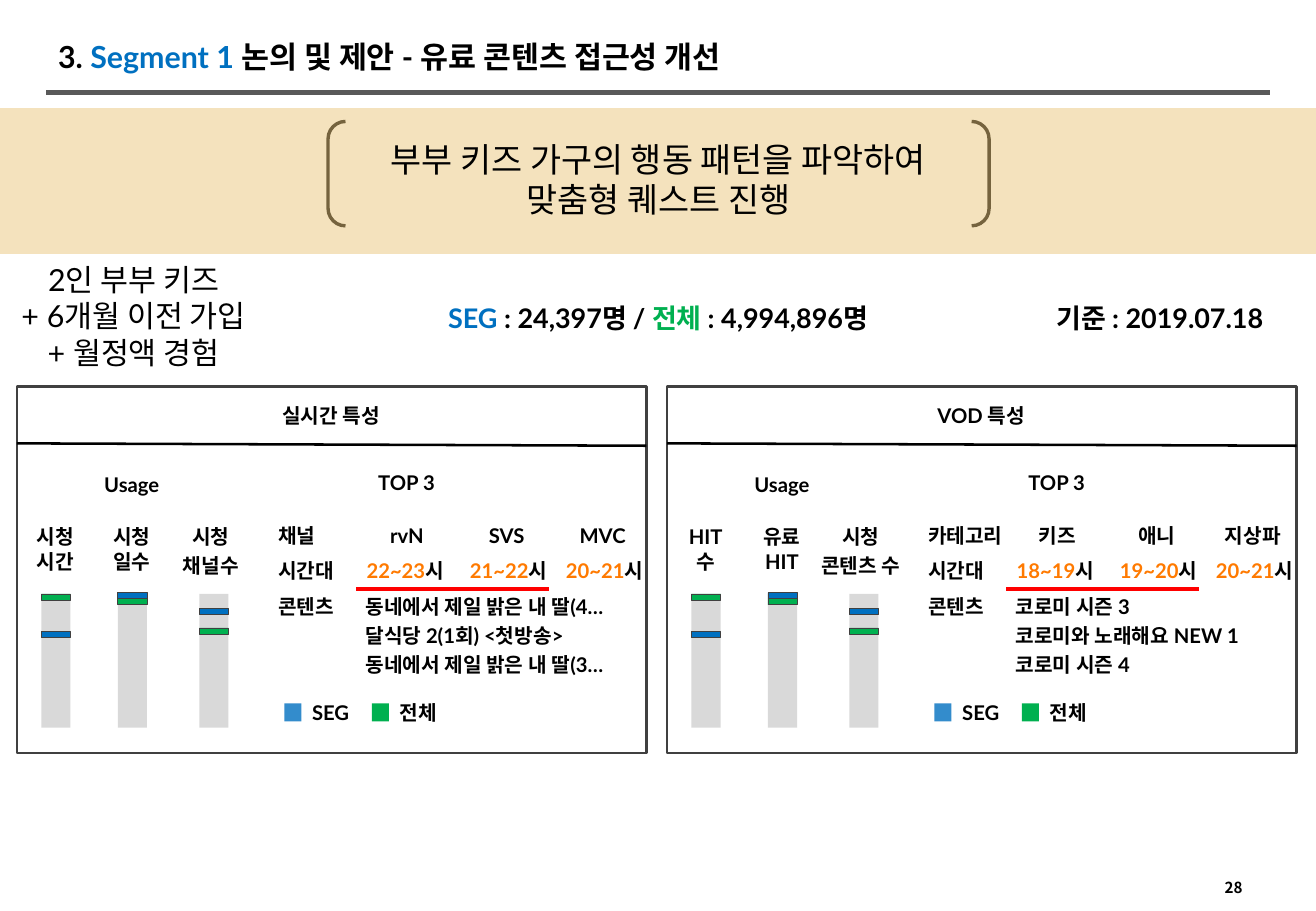
from lxml import etree
from pptx import Presentation
from pptx import util as u
from pptx.dml.color import RGBColor
from pptx.enum import shapes, text
from pptx.oxml import ns

BLACK = RGBColor(0x00, 0x00, 0x00)
WHITE = RGBColor(0xFF, 0xFF, 0xFF)
DARK = RGBColor(0x40, 0x40, 0x40)
RULE = RGBColor(0x59, 0x59, 0x59)
GREY = RGBColor(0xD9, 0xD9, 0xD9)
SAND = RGBColor(0xEA, 0xC6, 0x7C)
BLUE = RGBColor(0x00, 0x70, 0xC0)
GREEN = RGBColor(0x00, 0xB0, 0x50)
ORANGE = RGBColor(0xFF, 0x7A, 0x00)
RED = RGBColor(0xFF, 0x00, 0x00)

LATIN = "Lato"
KOREAN = "Noto Sans CJK KR"
CENTER = text.PP_ALIGN.CENTER
LEFT = text.PP_ALIGN.LEFT
RECT = shapes.MSO_SHAPE.RECTANGLE
BRACKETS = shapes.MSO_SHAPE.DOUBLE_BRACKET

PANEL_LEFTS = (0.14, 5.49)
BAR_LEFTS = (0.2, 0.83, 1.5)
MARKS = ((4.89, 5.2), (4.93, 4.88), (5.17, 5.01))  # tops of the total and SEG marks
LABEL_BOXES = ((0, 0.63), (0.63, 0.63), (1.11, 0.97))
RANK_CENTERS = (3.21, 4.03, 4.82)
HOUR_CENTERS = (3.19, 4.04, 4.83)

PANELS = (
    {
        "title": "실시간 특성",
        "labels": (["시청 시간"], ["시청 일수"], ["시청", "채널수"]),
        "kind": "채널",
        "names": ("rvN", "SVS", "MVC"),
        "hours": ("22~23", "21~22", "20~21"),
        "contents": ("동네에서 제일 밝은 내 딸(4…", "달식당 2(1회) <첫방송>",
                     "동네에서 제일 밝은 내 딸(3…"),
    },
    {
        "title": "VOD 특성",
        "labels": (["HIT 수"], ["유료 HIT"], ["시청", "콘텐츠 수"]),
        "kind": "카테고리",
        "names": ("키즈", "애니", "지상파"),
        "hours": ("18~19", "19~20", "20~21"),
        "contents": ("코로미 시즌 3", "코로미와 노래해요 NEW 1", "코로미 시즌 4"),
    },
)


class Deck:
    def __init__(self):
        self.prs = Presentation()
        self.prs.slide_width = u.Inches(10.83)
        self.prs.slide_height = u.Inches(7.5)
        self.s = self.prs.slides.add_slide(self.prs.slide_layouts[6])

    def shape(self, x, y, w, h, fill=None, line=None, weight=1.5, alpha=None, kind=RECT):
        sp = self.s.shapes.add_shape(kind, u.Inches(x), u.Inches(y), u.Inches(w), u.Inches(h))
        sp.shadow.inherit = False
        if fill is None:
            sp.fill.background()
        else:
            sp.fill.solid()
            sp.fill.fore_color.rgb = fill
        if alpha is not None:
            color = sp.fill._xPr.find(".//" + ns.qn("a:srgbClr"))
            etree.SubElement(color, ns.qn("a:alpha")).set("val", str(alpha * 1000))
        if line is None:
            sp.line.fill.background()
        else:
            sp.line.color.rgb = line
            sp.line.width = u.Pt(weight)
        return sp

    def line(self, x1, y1, x2, y2, color, weight):
        c = self.s.shapes.add_connector(shapes.MSO_CONNECTOR.STRAIGHT, u.Inches(x1),
                                        u.Inches(y1), u.Inches(x2), u.Inches(y2))
        c.line.color.rgb = color
        c.line.width = u.Pt(weight)
        etree.SubElement(c._element.spPr, ns.qn("a:effectLst"))

    def text(self, x, y, w, h, *paragraphs, size=12, bold=True, align=CENTER,
             before=0.2, font=LATIN, anchor=text.MSO_ANCHOR.TOP):
        """Each paragraph is a string or a list of (string, colour) runs."""
        sp = self.s.shapes.add_textbox(u.Inches(x), u.Inches(y), u.Inches(w), u.Inches(h))
        tf = sp.text_frame
        tf.word_wrap = True
        tf.vertical_anchor = anchor
        for i, runs in enumerate(paragraphs):
            p = tf.paragraphs[0] if i == 0 else tf.add_paragraph()
            p.alignment = align
            p.space_before = u.Pt(before * size)
            for words, color in [(runs, BLACK)] if isinstance(runs, str) else runs:
                r = p.add_run()
                r.text = words
                r.font.size = u.Pt(size)
                r.font.bold = bold
                r.font.name = font
                r.font.color.rgb = color
                etree.SubElement(r.font._element, ns.qn("a:ea")).set("typeface", KOREAN)

    def bar(self, x, total_top, seg_top):
        self.shape(x, 4.89, 0.24, 1.1, GREY)
        for top, color in ((total_top, GREEN), (seg_top, BLUE)):
            self.shape(x, top, 0.24, 0.05, color, DARK, 0.5)

    def legend(self, x):
        for dx, name, color, alpha in ((0, "SEG", BLUE, 80), (0.72, "전체", GREEN, None)):
            self.shape(x + dx, 5.79, 0.14, 0.15, color, alpha=alpha)
            self.text(x + dx + 0.13, 5.72, 0.7, 0.3, name, align=LEFT)

    def panel(self, x, data):
        self.shape(x, 3.18, 5.18, 3.02, WHITE, DARK)
        self.line(x, 3.65, x + 5.18, 3.67, BLACK, 1.5)
        self.text(x + 1.65, 3.27, 1.87, 0.3, data["title"])
        self.text(x + 0.51, 3.84, 0.87, 0.3, "Usage")
        self.text(x + 2.85, 3.82, 0.71, 0.3, "TOP 3")

        for left, tops, (dx, w), label in zip(BAR_LEFTS, MARKS, LABEL_BOXES, data["labels"]):
            self.bar(x + left, *tops)
            self.text(x + dx, 4.27, w, 0.5, *label)

        for y, heading in zip((4.26, 4.55, 4.84), (data["kind"], "시간대", "콘텐츠")):
            self.text(x + 2.05, y, 0.87, 0.3, heading, align=LEFT)
        for center, name in zip(RANK_CENTERS, data["names"]):
            self.text(x + center - 0.5, 4.26, 1, 0.3, name)
        for center, hours in zip(HOUR_CENTERS, data["hours"]):
            self.text(x + center - 0.58, 4.55, 1.17, 0.3, [(hours, ORANGE), ("시", BLACK)])
        for i, content in enumerate(data["contents"]):
            self.text(x + 2.77, 4.84 + 0.24 * i, 2.81, 0.3, content, align=LEFT)
        self.line(x + 2.79, 4.85, x + 4.38, 4.85, RED, 2)
        self.legend(x + 2.2)


def main():
    deck = Deck()
    deck.line(0.38, 0.76, 10.45, 0.76, RULE, 3)
    deck.text(0.38, 0.27, 7.76, 0.38,
              [("3. ", BLACK), ("Segment 1 ", BLUE),
               ("논의 및 제안 - 유료 콘텐츠 접근성 개선", BLACK)],
              size=18, align=LEFT, before=0, anchor=text.MSO_ANCHOR.MIDDLE)

    deck.shape(2.7, 1, 5.44, 0.86, WHITE, BLACK, 2, kind=BRACKETS)
    deck.shape(0, 0.89, 10.83, 1.2, SAND, alpha=50)
    deck.text(2.7, 1.09, 5.44, 0.77, "부부 키즈 가구의 행동 패턴을 파악하여",
              "맞춤형 퀘스트 진행", size=20, bold=False, before=0)

    deck.text(0, 2.1, 2.2, 1.01, "2인 부부 키즈", "+ 6개월 이전 가입", "+ 월정액 경험",
              size=18, bold=False, before=0)
    deck.text(2.94, 2.43, 4.95, 0.37,
              [("SEG", BLUE), (" : 24,397명 / ", BLACK), ("전체 ", GREEN),
               (": 4,994,896명", BLACK)], size=16)
    deck.text(8.49, 2.43, 2.11, 0.37, "기준 : 2019.07.18", size=16)

    for x, data in zip(PANEL_LEFTS, PANELS):
        deck.panel(x, data)

    deck.text(9.98, 7.18, 0.47, 0.25, "28", size=9, align=LEFT, before=0, font=KOREAN)
    deck.prs.save("out.pptx")


if __name__ == "__main__":
    main()
